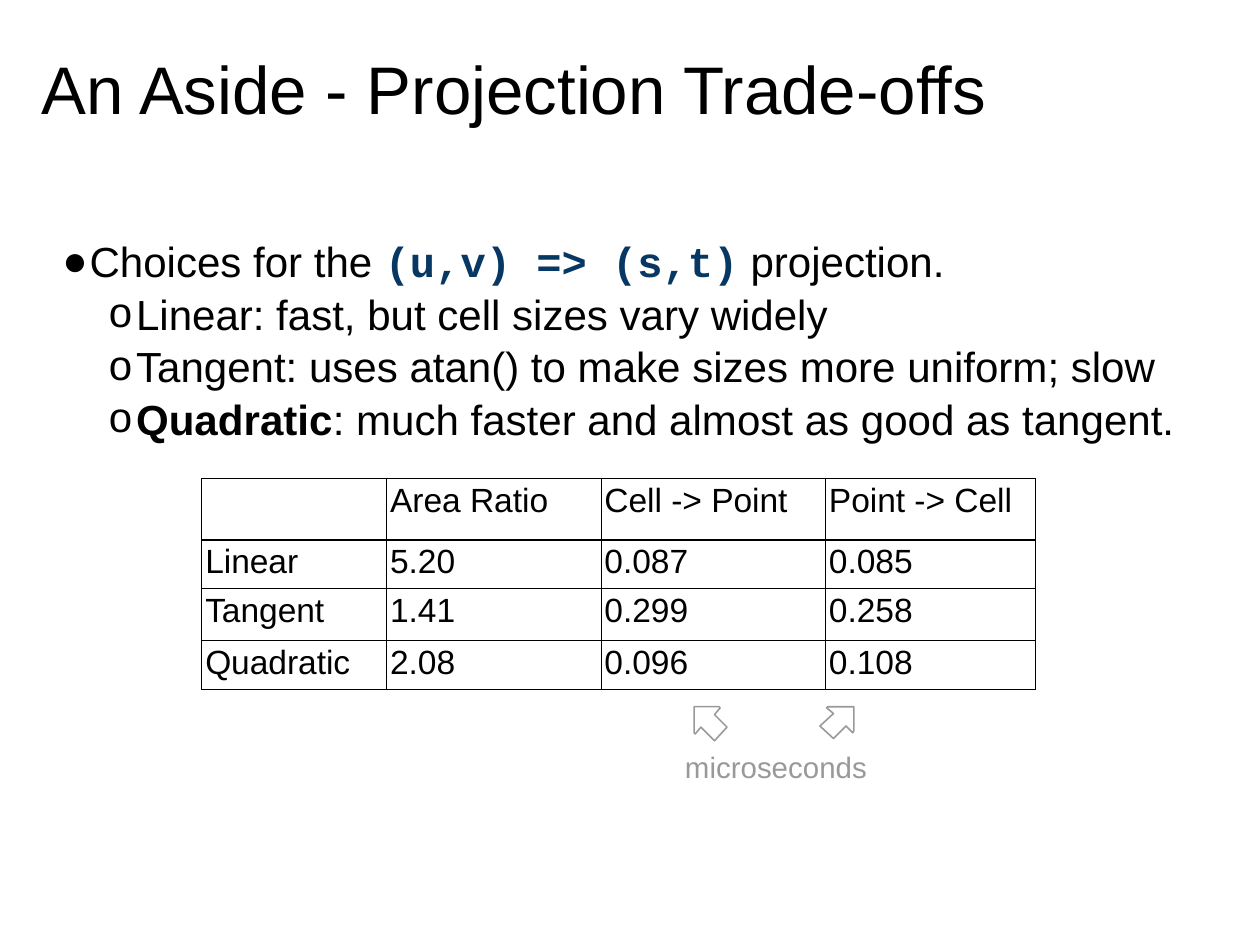
from lxml.etree import SubElement
from pptx import Presentation
from pptx.dml.color import RGBColor
from pptx.enum.text import MSO_ANCHOR, MSO_AUTO_SIZE, PP_ALIGN
from pptx.oxml.ns import qn
from pptx.util import Pt

PX = 9144  # 100 px to the inch
BLACK, NAVY, GRAY, WHITE = "000000", "073763", "999999", "FFFFFF"


def write(para, text, size, color=BLACK, font="Arial", bold=False):
    span = para.add_run()
    span.text = text
    span.font.size = Pt(size)
    span.font.name = font
    span.font.bold = bold
    span.font.color.rgb = RGBColor.from_string(color)


def set_frame(frame, top_inset=4):
    """Wrap the text, fix its size and anchor it at the top left."""
    frame.word_wrap = True
    frame.auto_size = MSO_AUTO_SIZE.NONE
    frame.vertical_anchor = MSO_ANCHOR.TOP
    frame.margin_left = frame.margin_right = frame.margin_bottom = 4 * PX
    frame.margin_top = top_inset * PX
    frame.paragraphs[0].alignment = PP_ALIGN.LEFT


deck = Presentation()
deck.slide_width, deck.slide_height = 1111 * PX, 833 * PX
page = deck.slides.add_slide(deck.slide_layouts[5])

# Title
title = page.shapes.title
title.left, title.top, title.width, title.height = 33 * PX, 33 * PX, 1053 * PX, 108 * PX
set_frame(title.text_frame, top_inset=9)
write(title.text_frame.paragraphs[0], "An Aside - Projection Trade-offs", 42.7)

# Bulleted choices: level, then spans of text with their format
choices = [
    (0, [("Choices for the ", {}),
         ("(u,v) => (s,t)", {"color": NAVY, "font": "Courier New", "bold": True}),
         (" projection.", {})]),
    (1, [("Linear: fast, but cell sizes vary widely", {})]),
    (1, [("Tangent: uses atan() to make sizes more uniform; slow", {})]),
    (1, [("Quadratic", {"bold": True}),
         (": much faster and almost as good as tangent.", {})]),
]
body = page.shapes.add_textbox(33 * PX, 200 * PX, 1053 * PX, 608 * PX).text_frame
set_frame(body, top_inset=6)
for index, (level, spans) in enumerate(choices):
    para = body.add_paragraph() if index else body.paragraphs[0]
    para.level = level
    para.line_spacing = 1.04
    for text, style in spans:
        write(para, text, 26.7, **style)
    props = para._p.get_or_add_pPr()
    props.set("marL", str((83 if level else 42) * PX))
    props.set("indent", str(-24 * PX))
    SubElement(SubElement(props, qn("a:buClr")), qn("a:srgbClr"), val=BLACK)
    SubElement(props, qn("a:buFont"), typeface="Arial")
    SubElement(props, qn("a:buChar"), char="o" if level else "●")

# Comparison table
rows = [
    ["", "Area Ratio", "Cell -> Point", "Point -> Cell"],
    ["Linear", "5.20", "0.087", "0.085"],
    ["Tangent", "1.41", "0.299", "0.258"],
    ["Quadratic", "2.08", "0.096", "0.108"],
]
widths, heights = [163, 189, 198, 185], [54, 43, 46, 43]
table = page.shapes.add_table(4, 4, 178 * PX, 422 * PX,
                              sum(widths) * PX, sum(heights) * PX).table
table.first_row = table.horz_banding = False
for column, width in zip(table.columns, widths):
    column.width = width * PX
for row, height, texts in zip(table.rows, heights, rows):
    row.height = height * PX
    for cell, text in zip(row.cells, texts):
        cell.margin_left = cell.margin_right = 3 * PX
        cell.margin_top = cell.margin_bottom = 3 * PX
        if text:
            write(cell.text_frame.paragraphs[0], text, 21.3)
        props = cell._tc.get_or_add_tcPr()
        for side in ("a:lnL", "a:lnR", "a:lnT", "a:lnB"):
            border = SubElement(props, qn(side), w=str(Pt(0.75)))
            fill = SubElement(border, qn("a:solidFill"))
            SubElement(fill, qn("a:srgbClr"), val=BLACK)
        cell.fill.background()

# Unit label and its arrows to the two timing columns
unit = page.shapes.add_textbox(600 * PX, 656 * PX, 186 * PX, 54 * PX).text_frame
set_frame(unit)
write(unit.paragraphs[0], "microseconds", 18.7, color=GRAY)

arrows = [
    [(641, 641), (630, 630), (635, 624), (634, 623), (612, 623),
     (612, 646), (613, 647), (618, 641), (630, 653)],
    [(723, 640), (735, 629), (729, 624), (730, 623), (753, 623),
     (753, 644), (752, 646), (746, 640), (735, 651)],
]
for points in arrows:
    builder = page.shapes.build_freeform(*points[0], scale=PX)
    builder.add_line_segments(points[1:], close=True)
    arrow = builder.convert_to_shape()
    arrow.shadow.inherit = False
    arrow.fill.solid()
    arrow.fill.fore_color.rgb = RGBColor.from_string(WHITE)
    arrow.line.color.rgb = RGBColor.from_string(GRAY)
    arrow.line.width = Pt(1)

deck.save("out.pptx")
